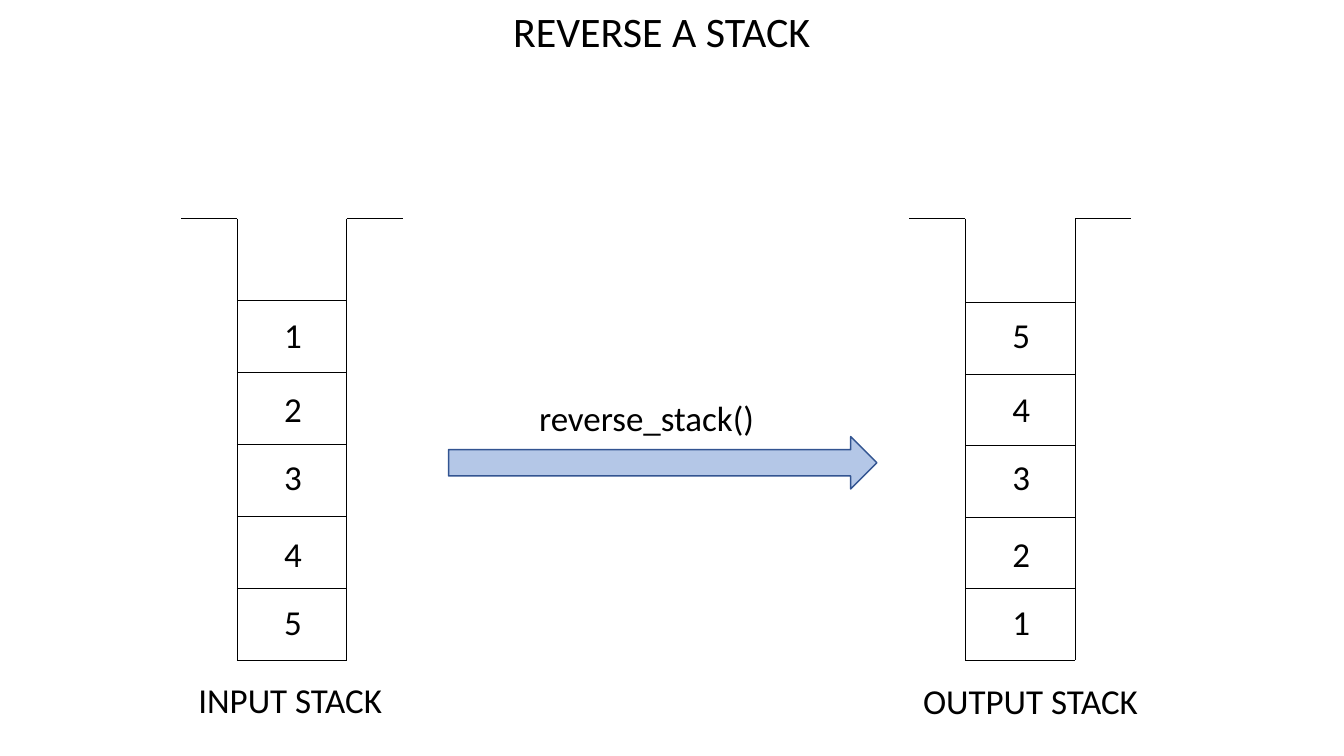
from lxml import etree
from pptx import Presentation
from pptx.dml.color import RGBColor
from pptx.enum.shapes import MSO_CONNECTOR, MSO_SHAPE
from pptx.enum.text import MSO_ANCHOR, MSO_AUTO_SIZE, PP_ALIGN
from pptx.oxml.ns import qn
from pptx.util import Pt

STRAIGHT = MSO_CONNECTOR.STRAIGHT
RIGHT_ARROW = MSO_SHAPE.RIGHT_ARROW
TOP = MSO_ANCHOR.TOP
NO_FIT = MSO_AUTO_SIZE.NONE
LEFT = PP_ALIGN.LEFT

BLACK = RGBColor(0x00, 0x00, 0x00)
ARROW_FILL = RGBColor(0xB4, 0xC7, 0xE7)
ARROW_LINE = RGBColor(0x32, 0x54, 0x91)

RIM_Y, FLOOR_Y = 156.2, 471.6
STACK_WIDTH, RIM_WIDTH = 78.4, 40
VALUE_INDENT = 26.5
VALUE_TOPS = (220.3, 272.9, 321.8, 376.6, 425.5)


class StackPage:
    """Holds the text style and the page being drawn; lengths are in points."""

    font_name = "Calibri"
    text_size = 25
    title_size = 30
    text_height = 37.5

    def __init__(self, deck):
        """Add a title-only page to the deck."""
        self.page = deck.slides.add_slide(deck.slide_layouts[5])

    def set_text(self, box, text, size):
        """Fill a box with one left-aligned line of text."""
        frame = box.text_frame
        frame.word_wrap = True
        frame.auto_size = NO_FIT
        frame.vertical_anchor = TOP
        frame.text = text
        para = frame.paragraphs[0]
        para.alignment = LEFT
        para.font.name = self.font_name
        para.font.size = Pt(size)
        para.font.color.rgb = BLACK

    def title(self, text, left, top, width, height):
        """Place and fill the title placeholder."""
        box = self.page.shapes.title
        box.left, box.top = Pt(left), Pt(top)
        box.width, box.height = Pt(width), Pt(height)
        self.set_text(box, text, self.title_size)

    def label(self, text, left, top, width):
        """Add a text box one line high."""
        box = self.page.shapes.add_textbox(
            Pt(left), Pt(top), Pt(width), Pt(self.text_height))
        self.set_text(box, text, self.text_size)

    def line(self, x1, y1, x2, y2):
        """Add a thin black line without shadow."""
        connector = self.page.shapes.add_connector(
            STRAIGHT, Pt(x1), Pt(y1), Pt(x2), Pt(y2))
        connector.line.color.rgb = BLACK
        connector.line.width = Pt(0.5)
        etree.SubElement(connector._element.spPr, qn("a:effectLst"))

    def arrow(self, left, top, width, height):
        """Add the block arrow pointing right."""
        shape = self.page.shapes.add_shape(
            RIGHT_ARROW, Pt(left), Pt(top), Pt(width), Pt(height))
        shape.shadow.inherit = False
        shape.fill.solid()
        shape.fill.fore_color.rgb = ARROW_FILL
        shape.line.color.rgb = ARROW_LINE
        shape.line.width = Pt(1)

    def stack(self, left, values, cell_height):
        """Draw an open container with its values listed from the top down."""
        right = left + STACK_WIDTH
        self.line(left - RIM_WIDTH, RIM_Y, left, RIM_Y)
        self.line(right, RIM_Y, right + RIM_WIDTH, RIM_Y)
        for wall in (left, right):
            self.line(wall, RIM_Y, wall, FLOOR_Y)
        for level in range(len(values) + 1):
            y = FLOOR_Y - level * cell_height
            self.line(left, y, right, y)
        for value, top in zip(values, VALUE_TOPS):
            self.label(str(value), left + VALUE_INDENT, top, 34.5)


def main():
    """Build the page and save the deck."""
    deck = Presentation()
    deck.slide_width, deck.slide_height = Pt(960), Pt(540)
    page = StackPage(deck)
    page.title("REVERSE A STACK", 359.3, 0, 241, 44)
    values = [1, 2, 3, 4, 5]
    page.stack(169.3, values, 51.4)
    page.stack(689.6, values[::-1], 51.1)
    page.label("INPUT STACK", 134.6, 481, 150.5)
    page.label("OUTPUT STACK", 652.3, 481.7, 172.8)
    page.arrow(320.4, 311.8, 306, 37.5)
    page.label("reverse_stack()", 378, 279.4, 203.8)
    deck.save("out.pptx")


main()
